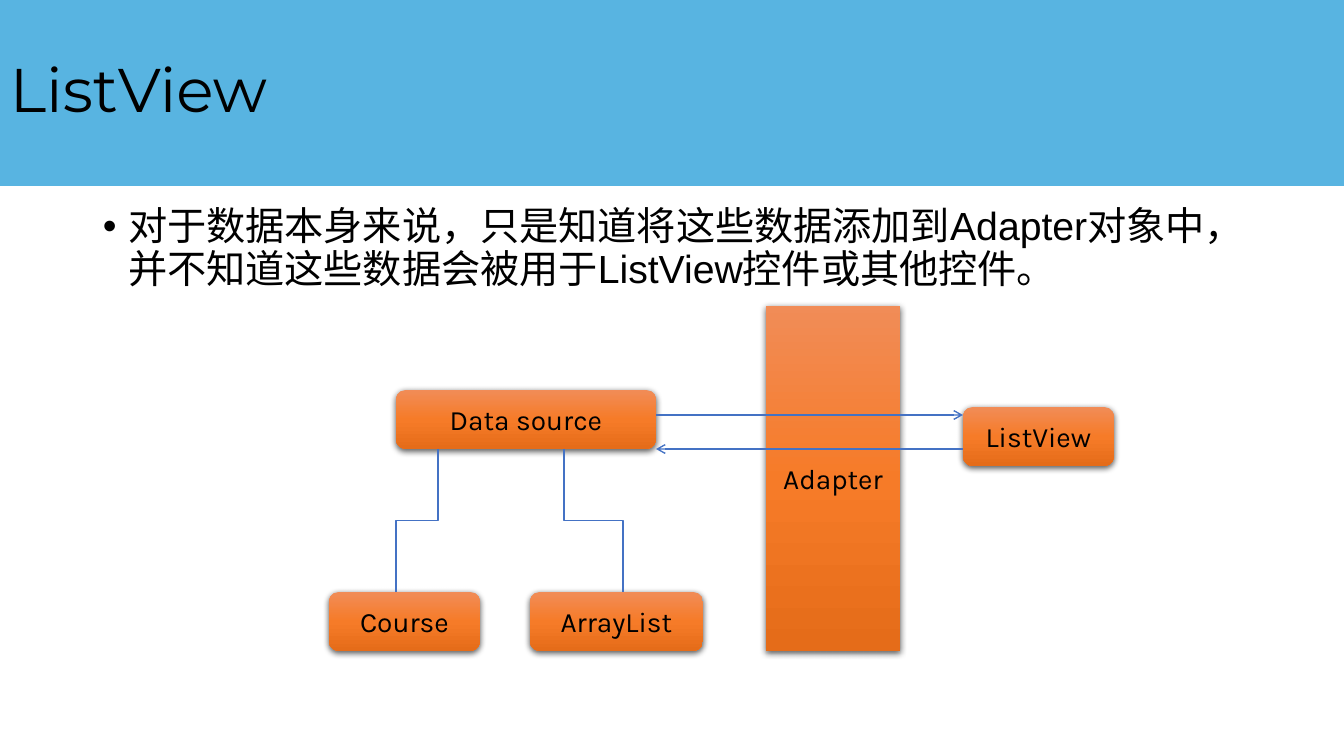
import copy
import pptx
import pptx.util
import pptx.dml.color
import pptx.enum.shapes
import pptx.enum.text
import pptx.oxml
import pptx.oxml.ns

EMU_PER_PX = 914400 / 100.8
SLIDE = (1344, 756)
THEME = {
    "banner": "58B4E1",
    "ink": "000000",
    "line": "4472C4",
    "gradient": [(0, "F18C57"), (0.5, "F67B28"), (1, "E56C19")],
    "title": ("Montserrat", 44),
    "body": ("Arial", 28),
    "node": ("Karla", 20),
}
TITLE = ("ListView", (0, 0, 1344, 186))
STATEMENT = (
    "对于数据本身来说，只是知道将这些数据添加到Adapter对象中，并不知道这些数据会被用于ListView控件或其他控件。",
    (93, 202, 1159, 480),
)
NODES = [
    ("Course", (329, 592, 151, 59), "ROUNDED_RECTANGLE"),
    ("ArrayList", (530, 592, 173, 59), "ROUNDED_RECTANGLE"),
    ("Data source", (396, 390, 260, 59), "ROUNDED_RECTANGLE"),
    ("Adapter", (766, 306, 134, 345), "RECTANGLE"),
    ("ListView", (963, 407, 151, 59), "ROUNDED_RECTANGLE"),
]
BRANCHES = [((438, 449), (396, 592)), ((564, 449), (623, 592))]
FLOWS = [((656, 415), (963, 415)), ((963, 449), (656, 449))]

SHAPES = pptx.enum.shapes.MSO_SHAPE
CONNECTORS = pptx.enum.shapes.MSO_CONNECTOR
ALIGN = pptx.enum.text.PP_ALIGN
ANCHOR = pptx.enum.text.MSO_ANCHOR
qn = pptx.oxml.ns.qn


def px(*lengths):
    return [pptx.util.Emu(round(n * EMU_PER_PX)) for n in lengths]


def rgb(value):
    return pptx.dml.color.RGBColor.from_string(value)


def add_xml(parent, xml):
    namespace = pptx.oxml.ns.nsdecls("a")
    parent.append(pptx.oxml.parse_xml(xml.replace("/>", f" {namespace}/>", 1)))


def write(holder, text, style, align, anchor):
    family, size = THEME[style]
    frame = holder.text_frame
    frame.word_wrap = True
    frame.vertical_anchor = anchor
    paragraph = frame.paragraphs[0]
    paragraph.alignment = align
    run = paragraph.add_run()
    run.text = text
    run.font.name = family
    run.font.size = pptx.util.Pt(size)
    run.font.color.rgb = rgb(THEME["ink"])
    return paragraph


def add_banner(slide):
    text, box = TITLE
    banner = slide.shapes.add_shape(SHAPES.RECTANGLE, *px(*box))
    banner.shadow.inherit = False
    banner.fill.solid()
    banner.fill.fore_color.rgb = rgb(THEME["banner"])
    banner.line.fill.background()
    write(banner, text, "title", ALIGN.LEFT, ANCHOR.MIDDLE).line_spacing = 0.9


def add_statement(slide):
    text, box = STATEMENT
    statement = slide.shapes.add_textbox(*px(*box))
    paragraph = write(statement, text, "body", ALIGN.LEFT, ANCHOR.TOP)
    paragraph.line_spacing = 0.9
    paragraph.space_before = pptx.util.Pt(10)
    properties = paragraph._p.get_or_add_pPr()
    properties.set("marL", "228600")
    properties.set("indent", "-228600")
    add_xml(properties, '<a:buFont typeface="Arial"/>')
    add_xml(properties, '<a:buChar char="•"/>')


def add_node(slide, label, box, outline):
    node = slide.shapes.add_shape(getattr(SHAPES, outline), *px(*box))
    node.fill.gradient()
    node.fill.gradient_angle = 270
    stops = node.element.spPr.find(qn("a:gradFill")).find(qn("a:gsLst"))
    stops.append(copy.deepcopy(stops[-1]))
    for stop, (position, color) in zip(node.fill.gradient_stops, THEME["gradient"]):
        stop.position = position
        stop.color.rgb = rgb(color)
    node.line.fill.background()
    node.shadow.inherit = False
    effects = node.element.spPr.find(qn("a:effectLst"))
    add_xml(effects, '<a:outerShdw blurRad="57150" dist="19050" dir="5400000" algn="ctr" rotWithShape="0"/>')
    shade = pptx.oxml.ns.nsdecls("a")
    effects[0].append(pptx.oxml.parse_xml(
        f'<a:srgbClr {shade} val="000000"><a:alpha val="63000"/></a:srgbClr>'))
    frame = node.text_frame
    frame.margin_left = frame.margin_right = px(12)[0]
    frame.margin_top = frame.margin_bottom = px(6)[0]
    write(node, label, "node", ALIGN.CENTER, ANCHOR.MIDDLE)


def add_line(slide, kind, start, end):
    line = slide.shapes.add_connector(kind, *px(*start, *end))
    line.line.color.rgb = rgb(THEME["line"])
    line.line.width = pptx.util.Pt(1)
    add_xml(line.element.spPr, "<a:effectLst/>")
    return line


def add_branch(slide, start, end):
    (x1, y1), (x2, y2) = start, end
    length, spread = y2 - y1, abs(x2 - x1)
    left, top = (x1 + x2 - length) / 2, (y1 + y2 - spread) / 2
    branch = add_line(slide, CONNECTORS.ELBOW, (left, top), (left + length, top + spread))
    frame = branch.element.spPr.find(qn("a:xfrm"))
    if x2 < x1:
        frame.set("rot", "5400000")
    else:
        frame.set("rot", "16200000")
        frame.set("flipH", "1")


def add_flow(slide, start, end):
    flow = add_line(slide, CONNECTORS.STRAIGHT, start, end)
    add_xml(flow.element.spPr.find(qn("a:ln")), '<a:tailEnd type="arrow"/>')


def main():
    deck = pptx.Presentation()
    deck.slide_width, deck.slide_height = px(*SLIDE)
    slide = deck.slides.add_slide(deck.slide_layouts[6])
    add_banner(slide)
    add_statement(slide)
    for node in NODES:
        add_node(slide, *node)
    for branch in BRANCHES:
        add_branch(slide, *branch)
    for flow in FLOWS:
        add_flow(slide, *flow)
    deck.save("out.pptx")


if __name__ == "__main__":
    main()
